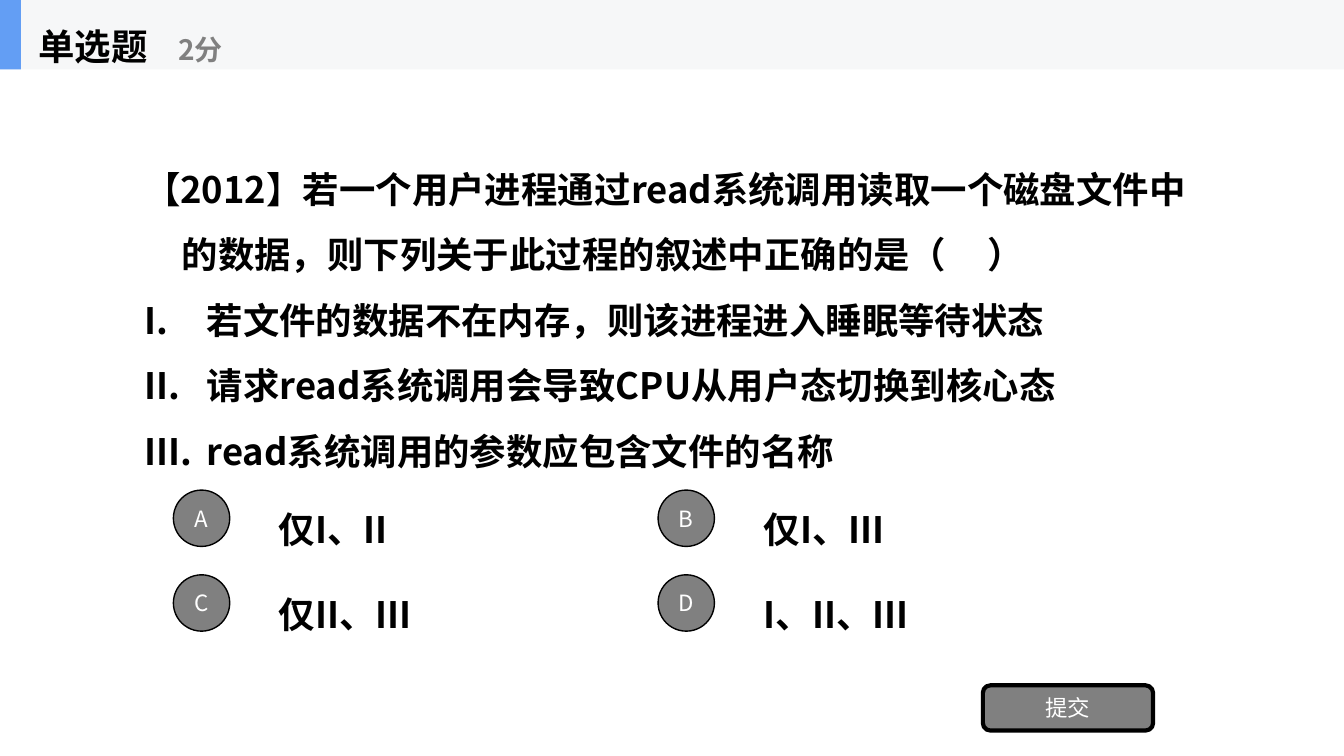
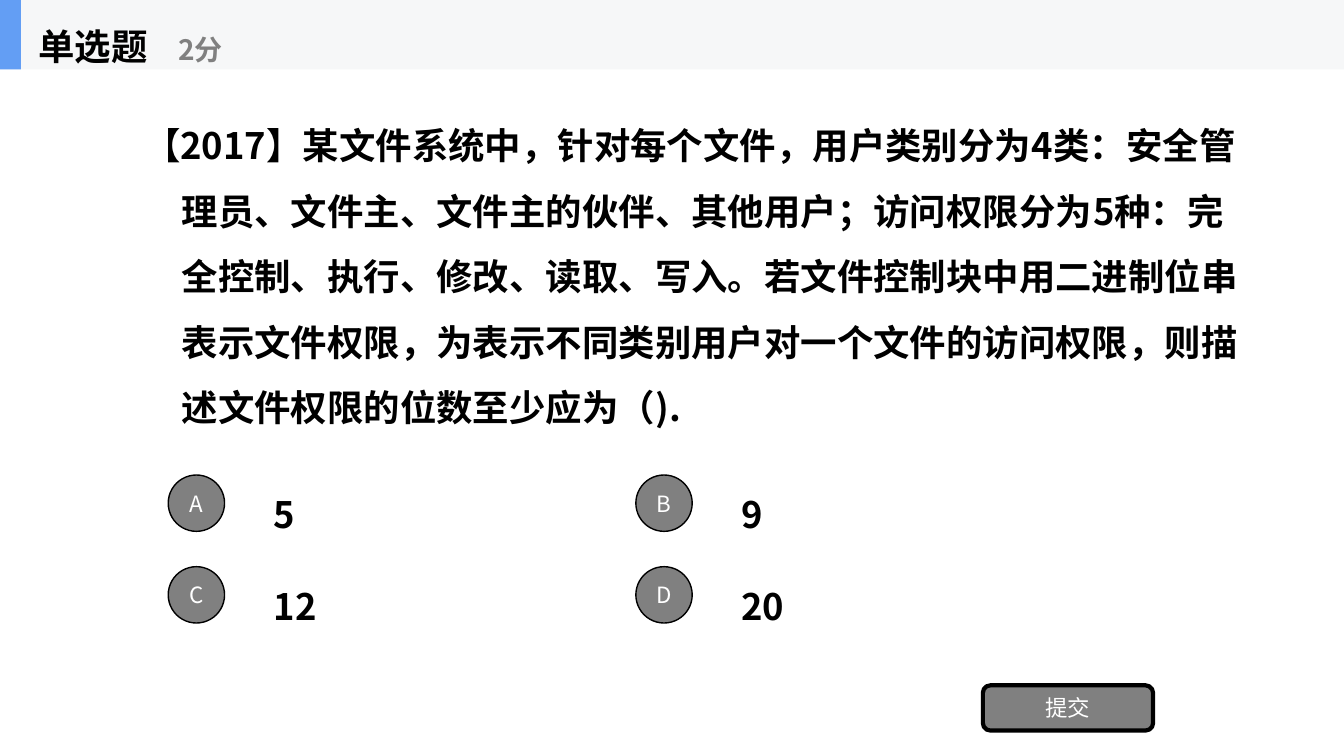
from lxml.etree import SubElement
from pptx import Presentation
from pptx.dml.color import RGBColor
from pptx.enum.shapes import MSO_SHAPE as SHAPE
from pptx.enum.text import MSO_ANCHOR as ANCHOR, MSO_AUTO_SIZE as AUTO, PP_ALIGN as ALIGN
from pptx.oxml.ns import qn
from pptx.util import Cm, Pt

FONT = "Noto Sans CJK SC"
BLACK, WHITE, GRAY = "000000", "FFFFFF", "808080"
BAND, ACCENT = "F6F7F8", "639EF4"
SLIDE_W, SLIDE_H, HEADER_H = 33.87, 19.05, 1.75
INDENT, LIST_INDENT = 0.95, 1.58
BADGE, BADGE_DROP, OPTION_X, OPTION_H = 1.42, 0.18, 2.41, 1.78
BUTTON = (24.77, 17.27, 4.29, 1.14)

QUESTIONS = [
    dict(
        stem="【2012】若一个用户进程通过read系统调用读取一个磁盘文件中的数据，则下列关于此过程的叙述中正确的是（     ）",
        statements=[
            "若文件的数据不在内存，则该进程进入睡眠等待状态",
            "请求read系统调用会导致CPU从用户态切换到核心态",
            "read系统调用的参数应包含文件的名称",
        ],
        answers=["仅I、II", "仅I、III", "仅II、III", "I、II、III"],
        stem_box=(3.38, 3.76, 27.1, 8.05),
        answer_box=(4.37, 12.17, 24.43, 4.27),
    ),
    dict(
        stem="【2017】某文件系统中，针对每个文件，用户类别分为4类：安全管理员、文件主、文件主的伙伴、其他用户；访问权限分为5种：完全控制、执行、修改、读取、写入。若文件控制块中用二进制位串表示文件权限，为表示不同类别用户对一个文件的访问权限，则描述文件权限的位数至少应为（).",
        statements=[],
        answers=["5", "9", "12", "20"],
        stem_box=(3.38, 1.75, 28.5, 9.86),
        answer_box=(4.24, 11.79, 23.57, 4.62),
    ),
]


def rgb(value):
    return RGBColor.from_string(value)


def lengths(box):
    return [Cm(v) for v in box]


def style_runs(p, size, color, bold):
    for r in p.runs:
        r.font.size, r.font.bold = Pt(size), bold
        r.font.color.rgb = rgb(color)
        r.font.name = FONT
        SubElement(r.font._element, qn("a:ea")).set("typeface", FONT)


def format_paragraph(p, size=26, color=BLACK, indent=INDENT, numbered=False):
    p.alignment = ALIGN.LEFT
    p.line_spacing = 1.5
    p.space_before = Pt(0)
    pPr = p._p.get_or_add_pPr()
    pPr.set("marL", str(Cm(indent)))
    pPr.set("indent", str(-Cm(indent)))
    if numbered:
        SubElement(pPr, qn("a:buFont")).set("typeface", FONT)
        SubElement(pPr, qn("a:buAutoNum")).set("type", "romanUcPeriod")
    style_runs(p, size, color, True)


def prepare_frame(tf):
    tf.word_wrap = True
    tf.auto_size = AUTO.NONE
    tf.vertical_anchor = ANCHOR.MIDDLE


def add_text(s, box, text, **style):
    tf = s.shapes.add_textbox(*lengths(box)).text_frame
    prepare_frame(tf)
    tf.text = text
    format_paragraph(tf.paragraphs[0], **style)
    return tf


def add_block(s, kind, box, fill, line_width=0, label=""):
    sp = s.shapes.add_shape(kind, *lengths(box))
    sp.shadow.inherit = False
    sp.fill.solid()
    sp.fill.fore_color.rgb = rgb(fill)
    if line_width:
        sp.line.color.rgb = rgb(BLACK)
        sp.line.width = Pt(line_width)
    else:
        sp.line.fill.background()
    if label:
        tf = sp.text_frame
        prepare_frame(tf)
        tf.margin_left = tf.margin_right = tf.margin_top = tf.margin_bottom = 0
        tf.text = label
        p = tf.paragraphs[0]
        p.alignment = ALIGN.CENTER
        style_runs(p, 16, WHITE, False)
    return sp


def add_header(s, box, title_text, points):
    x, y, w, h = box
    title = s.shapes.title
    for width, fill in ((w, BAND), (0.53, ACCENT)):
        band = add_block(s, SHAPE.RECTANGLE, (x, y, width, h), fill)
        title.element.addprevious(band.element)
    title.left, title.top, title.width, title.height = lengths((x + 0.71, y, 5.28, h))
    tf = title.text_frame
    prepare_frame(tf)
    tf.text = title_text
    format_paragraph(tf.paragraphs[0])
    add_text(s, (x + 4.24, y + 0.31, 6.35, 1.42), points, size=20, color=GRAY)


def add_question(s, box, stem, statements):
    tf = add_text(s, box, stem)
    for statement in statements:
        p = tf.add_paragraph()
        p.text = statement
        format_paragraph(p, indent=LIST_INDENT, numbered=True)


def add_answers(s, box, answers):
    x, y, w, h = box
    col_w, row_h = w / 2, h / 2
    for i, (letter, answer) in enumerate(zip("ABCD", answers)):
        row, col = divmod(i, 2)
        left, top = x + col * col_w, y + row * row_h
        add_text(s, (left + OPTION_X, top, col_w - OPTION_X, OPTION_H), answer)
        badge_box = (left, top + BADGE_DROP, BADGE, BADGE)
        add_block(s, SHAPE.OVAL, badge_box, GRAY, 1, letter)


def add_question_slide(prs, question):
    s = prs.slides.add_slide(prs.slide_layouts[5])
    add_header(s, (0, 0, SLIDE_W, HEADER_H), "单选题", "2分")
    add_question(s, question["stem_box"], question["stem"], question["statements"])
    add_answers(s, question["answer_box"], question["answers"])
    add_block(s, SHAPE.ROUNDED_RECTANGLE, BUTTON, GRAY, 3, "提交")


def main():
    prs = Presentation()
    prs.slide_width, prs.slide_height = Cm(SLIDE_W), Cm(SLIDE_H)
    for question in QUESTIONS:
        add_question_slide(prs, question)
    prs.save("out.pptx")


if __name__ == "__main__":
    main()
